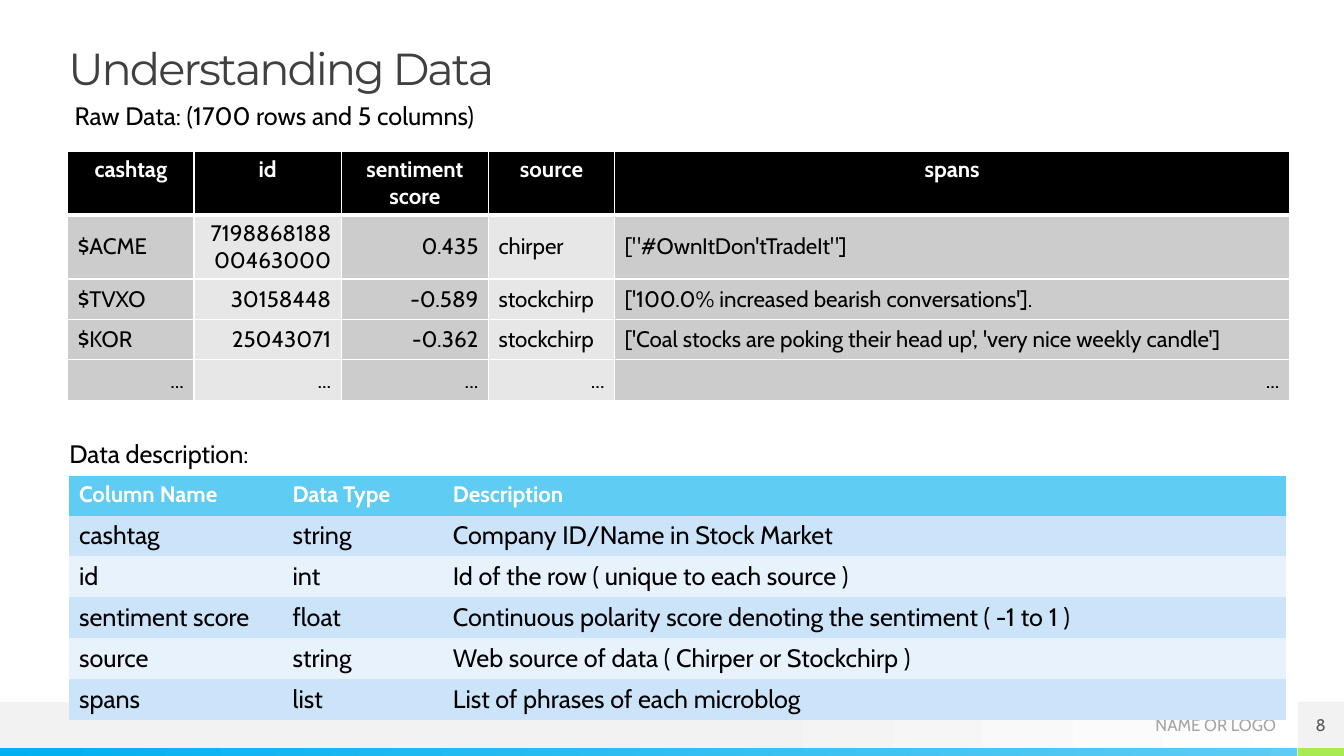
from lxml.etree import SubElement
from pptx import Presentation
from pptx.dml.color import RGBColor
from pptx.enum.shapes import MSO_SHAPE as Shape
from pptx.enum.text import MSO_ANCHOR as Anchor, MSO_AUTO_SIZE as AutoSize, PP_ALIGN as Align
from pptx.oxml.ns import qn
from pptx.util import Cm, Pt

BLACK = RGBColor(0x00, 0x00, 0x00)
WHITE = RGBColor(0xFF, 0xFF, 0xFF)
TITLE_GREY = RGBColor(0x40, 0x40, 0x40)
NUMBER_GREY = RGBColor(0x59, 0x59, 0x59)
FOOTER_GREY = RGBColor(0xA6, 0xA6, 0xA6)
PALE_GREY = RGBColor(0xF2, 0xF2, 0xF2)
DARK_COLUMN = RGBColor(0xCC, 0xCC, 0xCC)
LIGHT_COLUMN = RGBColor(0xE7, 0xE7, 0xE7)
BLUE = RGBColor(0x00, 0xB0, 0xF0)
SKY = RGBColor(0x5E, 0xCC, 0xF3)
DARK_ROW = RGBColor(0xCC, 0xE4, 0xF9)
LIGHT_ROW = RGBColor(0xE7, 0xF2, 0xFC)
GREEN = RGBColor(0xA7, 0xEA, 0x52)

BODY_FONT, TITLE_FONT = "Cabin", "Montserrat"
NO_STYLE_NO_GRID = "{2D5ABB26-0587-4C30-8999-92F81FD0307C}"

TITLE = "Understanding Data"
RAW_CAPTION = "Raw Data: (1700 rows and 5 columns)"
DESCRIPTION_CAPTION = "Data description:"
FOOTER, PAGE = "NAME OR LOGO", "8"

RAW_DATA = [
    ("cashtag", "id", "sentiment score", "source", "spans"),
    ("$ACME", "719886818800463000", "0.435", "chirper", "[\"#OwnItDon'tTradeIt\"]"),
    ("$TVXO", "30158448", "-0.589", "stockchirp", "['100.0% increased bearish conversations']."),
    ("$KOR", "25043071", "-0.362", "stockchirp",
     "['Coal stocks are poking their head up', 'very nice weekly candle']"),
    ("...",) * 5,
]
RAW_WIDTHS = (3.18, 3.71, 3.71, 3.18, 17.01)
RAW_HEIGHTS = (1.6, 1.6, 1.02, 1.02, 1.02)
NUMERIC_COLUMNS = (1, 2)

DESCRIPTIONS = [
    ("Column Name", "Data Type", "Description"),
    ("cashtag", "string", "Company ID/Name in Stock Market"),
    ("id", "int", "Id of the row ( unique to each source )"),
    ("sentiment score", "float", "Continuous polarity score denoting the sentiment ( -1 to 1 )"),
    ("source", "string", "Web source of data ( Chirper or Stockchirp )"),
    ("spans", "list", "List of phrases of each microblog"),
]
DESCRIPTION_WIDTHS = (5.38, 4.04, 21.24)
DESCRIPTION_HEIGHTS = (1.0,) + (1.03,) * 5

SLIDE_W, SLIDE_H = 33.87, 19.05
STRIP_H = 0.2
CORNER = 1.17
STRIP_TOP = SLIDE_H - STRIP_H
BAND_TOP = STRIP_TOP - CORNER
CORNER_LEFT = SLIDE_W - CORNER


def write(frame, text, size, color, align=Align.LEFT, font=BODY_FONT, bold=False):
    paragraph = frame.paragraphs[0]
    paragraph.alignment = align
    run = paragraph.add_run()
    run.text = text
    for name, value in {"name": font, "size": Pt(size), "bold": bold}.items():
        setattr(run.font, name, value)
    run.font.color.rgb = color
    return run


def clear_margins(frame):
    for side in ("left", "right", "top", "bottom"):
        setattr(frame, f"margin_{side}", 0)


def add_bar(shapes, left, top, width, height, stops):
    """Add a borderless bar; stops are (position, colour), one for a plain fill."""
    bar = shapes.add_shape(Shape.RECTANGLE, Cm(left), Cm(top), Cm(width), Cm(height))
    bar.shadow.inherit = False
    bar.line.fill.background()
    if len(stops) == 1:
        bar.fill.solid()
        bar.fill.fore_color.rgb = stops[0][1]
    else:
        bar.fill.gradient()
        bar.fill.gradient_angle = 0
        for stop, (position, color) in zip(bar.fill.gradient_stops, stops):
            stop.position = position
            stop.color.rgb = color
    return bar


def add_label(shapes, left, top, width, height, text, size, color, align=Align.LEFT):
    label = shapes.add_textbox(Cm(left), Cm(top), Cm(width), Cm(height))
    label.text_frame.word_wrap = True
    write(label.text_frame, text, size, color, align)
    return label.text_frame


def add_grid(shapes, left, top, rows, widths, heights):
    """Add an unstyled table of the given column widths and row heights."""
    frame = shapes.add_table(len(rows), len(widths), Cm(left), Cm(top),
                             Cm(sum(widths)), Cm(sum(heights)))
    for style in frame.element.iter(qn("a:tableStyleId")):
        style.text = NO_STYLE_NO_GRID
    for column, width in zip(frame.table.columns, widths):
        column.width = Cm(width)
    for row, height in zip(frame.table.rows, heights):
        row.height = Cm(height)
    return frame.table


def fill_cell(cell, color):
    cell.fill.solid()
    cell.fill.fore_color.rgb = color


def add_borders(cell, top, bottom):
    """Draw white cell borders, 1 pt at the sides."""
    properties = cell._tc.get_or_add_tcPr()
    for side, width in (("L", 1), ("R", 1), ("T", top), ("B", bottom)):
        line = SubElement(properties, qn(f"a:ln{side}"), w=str(Pt(width)))
        SubElement(SubElement(line, qn("a:solidFill")), qn("a:srgbClr"), val=str(WHITE))


def add_raw_table(shapes):
    table = add_grid(shapes, 1.71, 3.81, RAW_DATA, RAW_WIDTHS, RAW_HEIGHTS)
    for r, row in enumerate(RAW_DATA):
        for c, text in enumerate(row):
            cell = table.cell(r, c)
            add_borders(cell, top=3 if r == 1 else 1, bottom=3 if r == 0 else 1)
            if r == 0:
                fill_cell(cell, BLACK)
                write(cell.text_frame, text, 16, WHITE, Align.CENTER, bold=True)
                continue
            fill_cell(cell, LIGHT_COLUMN if c % 2 else DARK_COLUMN)
            cell.vertical_anchor = Anchor.MIDDLE
            to_right = c in NUMERIC_COLUMNS or text == "..."
            write(cell.text_frame, text, 16, BLACK, Align.RIGHT if to_right else Align.LEFT)


def add_description_table(shapes):
    table = add_grid(shapes, 1.74, 11.99, DESCRIPTIONS, DESCRIPTION_WIDTHS, DESCRIPTION_HEIGHTS)
    for r, row in enumerate(DESCRIPTIONS):
        for c, text in enumerate(row):
            cell = table.cell(r, c)
            if r == 0:
                fill_cell(cell, SKY)
                write(cell.text_frame, text, 16, WHITE, bold=True)
            else:
                fill_cell(cell, DARK_ROW if r % 2 else LIGHT_ROW)
                write(cell.text_frame, text, 18, BLACK)


def format_title(title):
    for name, value in {"left": 1.19, "top": 1.17, "width": 31.5, "height": 1.5}.items():
        setattr(title, name, Cm(value))
    frame = title.text_frame
    clear_margins(frame)
    frame.margin_left = Cm(0.53)
    frame.vertical_anchor = Anchor.TOP
    frame.auto_size = AutoSize.NONE
    run = write(frame, TITLE, 32, TITLE_GREY, font=TITLE_FONT)
    run.font._element.set("spc", "-150")
    frame.paragraphs[0].line_spacing = 0.9


def main():
    deck = Presentation()
    deck.slide_width, deck.slide_height = Cm(SLIDE_W), Cm(SLIDE_H)
    slide = deck.slides.add_slide(deck.slide_layouts[5])
    shapes = slide.shapes
    format_title(shapes.title)

    add_bar(shapes, 0, BAND_TOP, SLIDE_W, CORNER, [(0.53, PALE_GREY), (1, WHITE)])
    add_bar(shapes, 0, STRIP_TOP, CORNER_LEFT, STRIP_H, [(0, BLUE), (1, SKY)])
    add_bar(shapes, CORNER_LEFT, STRIP_TOP, CORNER, STRIP_H, [(0, GREEN)])
    page = add_bar(shapes, CORNER_LEFT, BAND_TOP, CORNER, CORNER, [(0, PALE_GREY)]).text_frame
    write(page, PAGE, 12, NUMBER_GREY, Align.CENTER)
    footer = add_label(shapes, 26.47, BAND_TOP, 5.69, CORNER, FOOTER, 12, FOOTER_GREY, Align.RIGHT)
    for frame in (page, footer):
        clear_margins(frame)
        frame.vertical_anchor = Anchor.MIDDLE

    add_label(shapes, 1.63, 2.41, 30.94, 1.03, RAW_CAPTION, 18, BLACK)
    add_raw_table(shapes)
    add_label(shapes, 1.5, 10.92, 7.62, 1.03, DESCRIPTION_CAPTION, 18, BLACK)
    add_description_table(shapes)
    deck.save("out.pptx")


if __name__ == "__main__":
    main()
